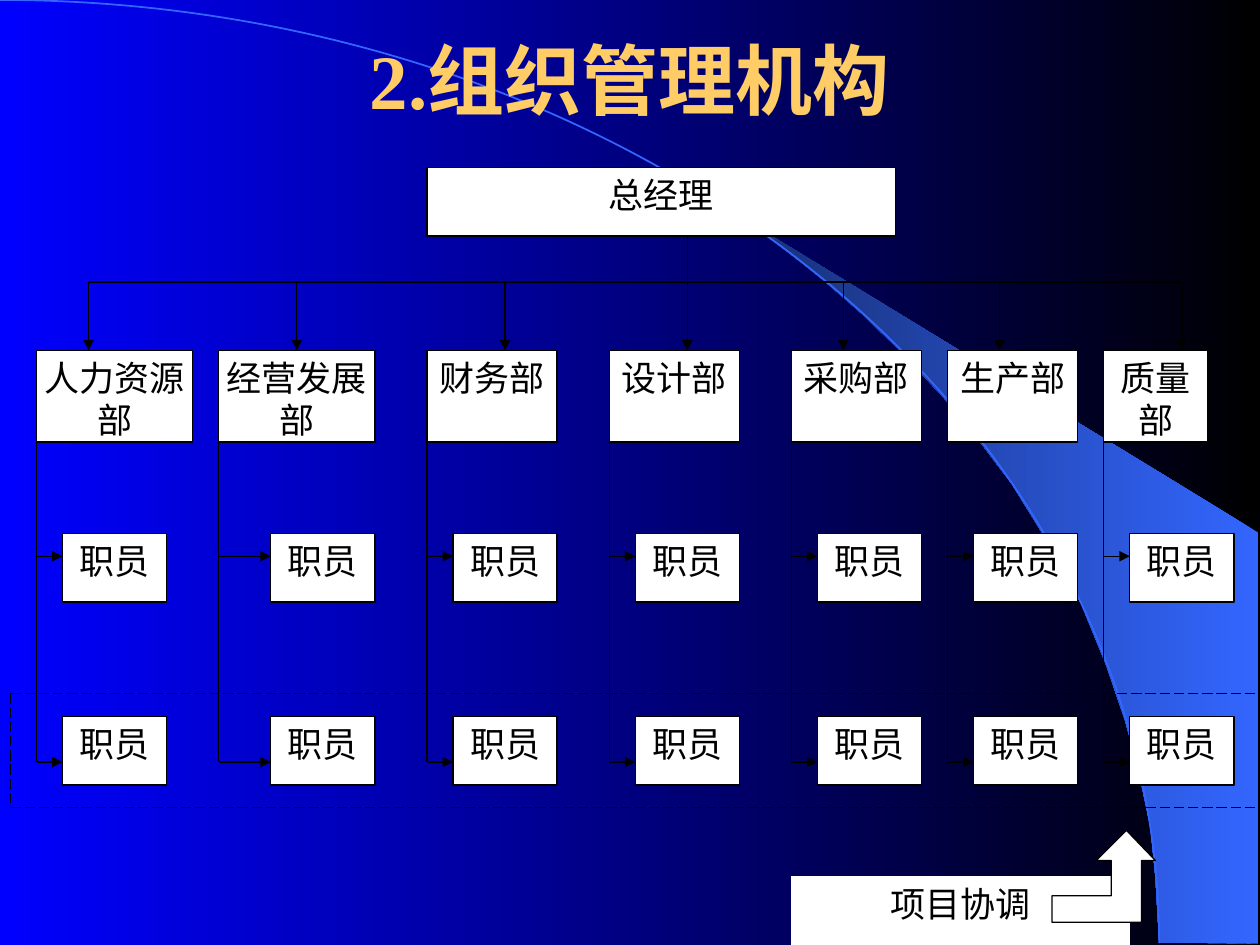
from lxml import etree
from pptx import Presentation
from pptx import util as u
from pptx.dml.color import RGBColor
from pptx.enum import dml, shapes, text
from pptx.oxml.ns import qn

COLORS = {"black": "000000", "white": "FFFFFF", "blue": "0000FF",
          "sky": "3366FF", "navy": "172F75", "gold": "FFCC66"}
FONT = "Times New Roman"
TITLE = "2.组织管理机构"
MANAGER = ("总经理", 15, 0, 18, 3)
COORDINATION = ("项目协调", 29, 31, 13, 3)
STAFF = "职员"
STAFF_ROWS = [(16, 17), (24, 26)]
DEPARTMENTS = [
    ("人力资源部", 0, 6, 2, 1),
    ("经营发展部", 7, 6, 10, 9),
    ("财务部", 15, 5, 18, 16),
    ("设计部", 22, 5, 25, 23),
    ("采购部", 29, 5, 31, 30),
    ("生产部", 35, 5, 37, 36),
    ("质量部", 41, 4, 44, 42),
]
BUS_ROW, DEPT_ROW, DEPT_END, TRUNK_END = 5, 8, 12, 26
PROJECT_BAND = [(-1, 23, 47, 23), (-1, 23, -1, 28), (-1, 28, 47, 28)]
SWOOSH = [(9.2, 7.48), (9.99, 7.49), (9.99, 4.23), (5.89, 1.73), (6.24, 1.99),
          (6.53, 2.22), (6.85, 2.5), (7.16, 2.8), (7.62, 3.3), (8.03, 3.84),
          (8.32, 4.31), (8.58, 4.79), (8.78, 5.28), (8.93, 5.72), (9.03, 6.09),
          (9.13, 6.56), (9.17, 6.96)]
UP_ARROW = [(8.35, 7.11), (8.82, 7.11), (8.82, 6.83), (8.7, 6.83), (8.94, 6.59),
            (9.17, 6.83), (9.06, 6.83), (9.06, 7.32), (8.35, 7.32)]
LEFT, TOP = 0.29, 1.33
COLUMN = (10 - LEFT) / 47
ROW = (7.5 - TOP) / 34

prs = Presentation()
prs.slide_width, prs.slide_height = u.Inches(10), u.Inches(7.5)
slide = prs.slides.add_slide(prs.slide_layouts[5])


def rgb(name):
    return RGBColor.from_string(COLORS[name])


def x(column):
    return u.Inches(LEFT + COLUMN * column)


def y(row):
    return u.Inches(TOP + ROW * row)


def apply(target, values):
    for key, value in values.items():
        setattr(target, key, value)


def gradient(fill, start, end):
    fill.gradient()
    fill.gradient_angle = 180
    for stop, name in zip(fill.gradient_stops, (start, end)):
        stop.color.rgb = rgb(name)


def outline(line, name, width=0.75):
    line.color.rgb = rgb(name)
    line.width = u.Pt(width)


def write(shape, words, size, color, bold=False, anchor="TOP", side=0.1):
    apply(shape.text_frame, {
        "text": words, "word_wrap": True,
        "auto_size": text.MSO_AUTO_SIZE.NONE,
        "vertical_anchor": text.MSO_ANCHOR[anchor],
        "margin_left": u.Inches(side), "margin_right": u.Inches(side),
        "margin_top": u.Inches(0.05), "margin_bottom": u.Inches(0.05)})
    paragraph = shape.text_frame.paragraphs[0]
    paragraph.alignment = text.PP_ALIGN.CENTER
    font = paragraph.runs[0].font
    apply(font, {"name": FONT, "size": u.Pt(size), "bold": bold})
    font.color.rgb = rgb(color)


def box(words, column, row, width, height, side=0.0, edge="black"):
    shape = slide.shapes.add_shape(
        shapes.MSO_SHAPE.RECTANGLE, x(column), y(row),
        x(column + width) - x(column), y(row + height) - y(row))
    shape.shadow.inherit = False
    shape.fill.solid()
    shape.fill.fore_color.rgb = rgb("white")
    outline(shape.line, edge)
    write(shape, words, 20, "black", side=side)


def link(x1, y1, x2, y2, arrow=False, dashed=False):
    line = slide.shapes.add_connector(
        shapes.MSO_CONNECTOR.STRAIGHT, x(x1), y(y1), x(x2), y(y2))
    outline(line.line, "black")
    if dashed:
        line.line.dash_style = dml.MSO_LINE.LONG_DASH
    properties = line._element.spPr
    if arrow:
        etree.SubElement(properties.find(qn("a:ln")), qn("a:tailEnd"), type="triangle")
    etree.SubElement(properties, qn("a:effectLst"))


def polygon(points):
    start, *rest = [(u.Inches(px), u.Inches(py)) for px, py in points]
    builder = slide.shapes.build_freeform(*start)
    builder.add_line_segments(rest, close=True)
    shape = builder.convert_to_shape()
    shape.shadow.inherit = False
    return shape


gradient(slide.background.fill, "black", "blue")
swoosh = polygon(SWOOSH)
gradient(swoosh.fill, "sky", "navy")
swoosh.line.fill.background()
arc = slide.shapes.add_shape(
    shapes.MSO_SHAPE.ARC, u.Inches(-9.2), 0, u.Inches(18.4), u.Inches(14.97))
arc.shadow.inherit = False
arc.fill.background()
outline(arc.line, "sky", 1)

title = slide.shapes.title
apply(title, {"left": u.Inches(0.75), "top": 0,
              "width": u.Inches(8.5), "height": u.Inches(1.25)})
write(title, TITLE, 44, "gold", bold=True, anchor="MIDDLE")
slide.shapes._spTree.append(title._element)

box(*MANAGER, side=0.1)
link(DEPARTMENTS[0][3], BUS_ROW, DEPARTMENTS[-1][3], BUS_ROW)
link(25, 3, 25, BUS_ROW)
for name, column, width, drop, staff_column in DEPARTMENTS:
    link(drop, BUS_ROW, drop, DEPT_ROW, arrow=True)
    box(name, column, DEPT_ROW, width, DEPT_END - DEPT_ROW)
    link(column, DEPT_END, column, TRUNK_END)
    for staff_row, branch_row in STAFF_ROWS:
        box(STAFF, staff_column, staff_row, 4, 3)
        link(column, branch_row, staff_column, branch_row, arrow=True)

for side in PROJECT_BAND:
    link(*side, dashed=True)
box(*COORDINATION, side=0.1, edge="white")
up_arrow = polygon(UP_ARROW)
up_arrow.fill.solid()
up_arrow.fill.fore_color.rgb = rgb("white")
outline(up_arrow.line, "black")

prs.save("out.pptx")
